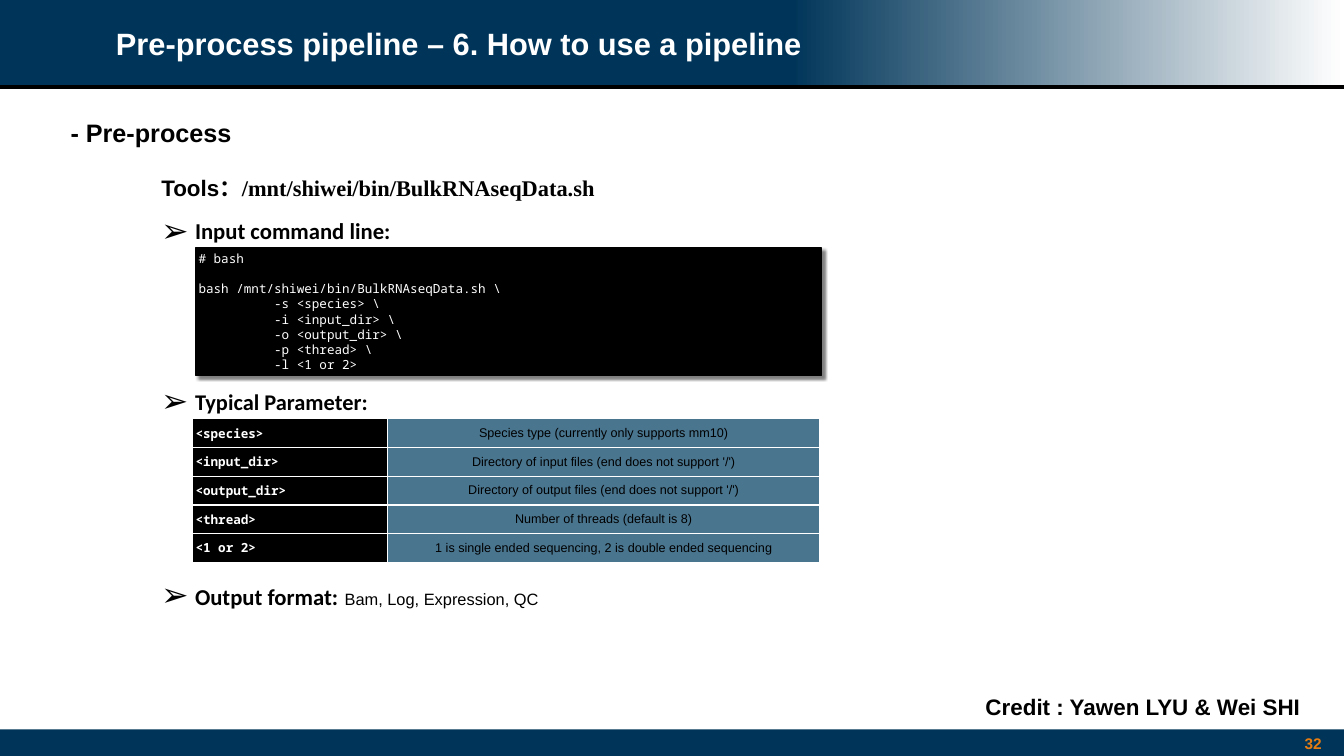
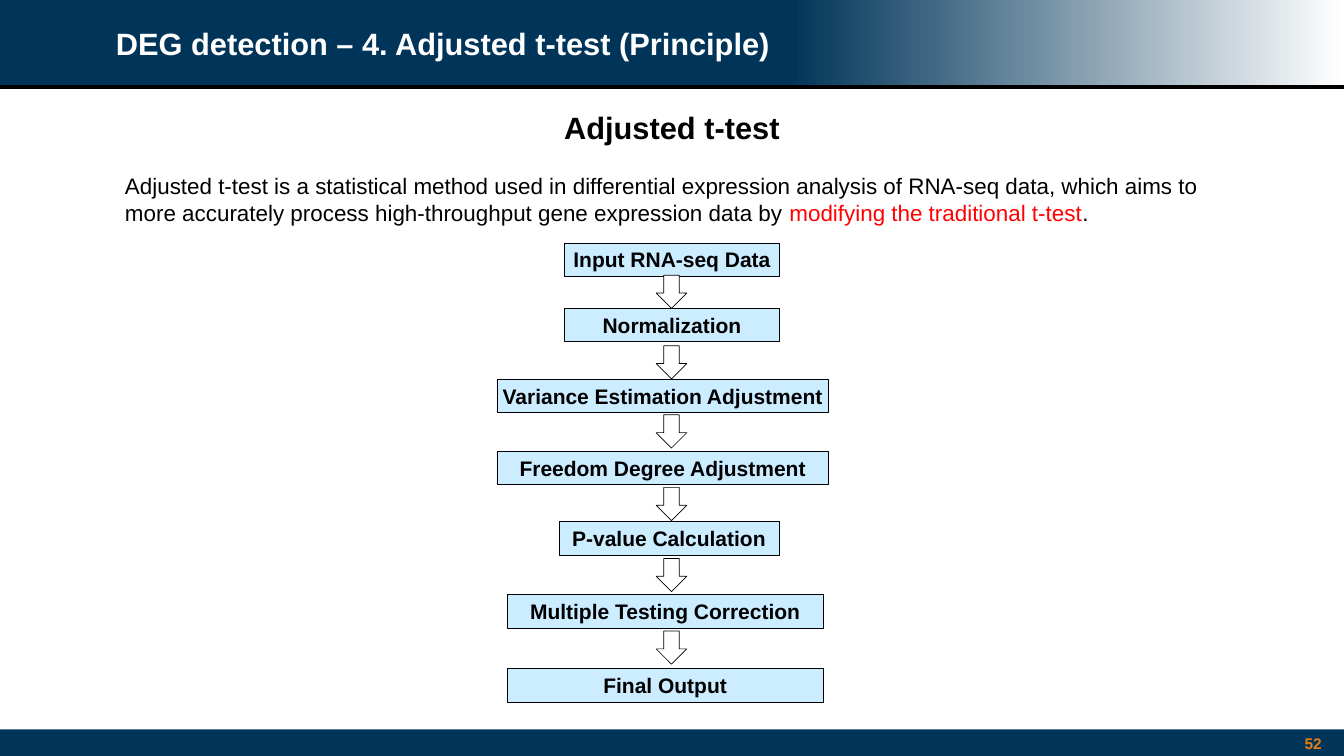
from lxml import etree
from pptx import Presentation
from pptx.dml.color import RGBColor
from pptx.enum.shapes import MSO_CONNECTOR as Connector, MSO_SHAPE as Shape
from pptx.enum.text import MSO_ANCHOR as Anchor, PP_ALIGN as Align
from pptx.oxml import parse_xml
from pptx.oxml.ns import qn
from pptx.util import Inches, Pt

NAVY = RGBColor(0x00, 0x35, 0x59)
STEEL = RGBColor(0x49, 0x75, 0x8F)
PALE_BLUE = RGBColor(0xCC, 0xEC, 0xFF)
ORANGE = RGBColor(0xE6, 0x7D, 0x13)
RED = RGBColor(0xFF, 0x00, 0x00)
WHITE = RGBColor(0xFF, 0xFF, 0xFF)
BLACK = RGBColor(0x00, 0x00, 0x00)
DRAWING = 'xmlns:a="http://schemas.openxmlformats.org/drawingml/2006/main"'
MONO = "Noto Sans Mono"


def add_block(page, kind, place, fill, line=None, width=1):
    block = page.shapes.add_shape(kind, *map(Inches, place))
    block.shadow.inherit = False
    block.fill.solid()
    block.fill.fore_color.rgb = fill
    if line is None:
        block.line.fill.background()
    else:
        block.line.color.rgb = line
        block.line.width = Pt(width)
    return block


def write(holder, spans, size, align=Align.LEFT, anchor=Anchor.MIDDLE,
          inset=0.08, wrap=True, **font):
    """Fill the first paragraph; each span is (text, font changes)."""
    frame = holder.text_frame
    frame.word_wrap = wrap
    frame.vertical_anchor = anchor
    for side in ("left", "right", "top", "bottom"):
        setattr(frame, f"margin_{side}", Inches(inset))
    para = frame.paragraphs[0]
    para.alignment = align
    for text, changes in spans:
        span = para.add_run()
        span.text = text
        style = {"name": "Arial", "size": Pt(size), "bold": True, "color": BLACK}
        style.update(font)
        style.update(changes)
        span.font.color.rgb = style.pop("color")
        for key, value in style.items():
            setattr(span.font, key, value)
    return para


deck = Presentation()
deck.slide_width, deck.slide_height = Inches(26.67), Inches(15)

# Shared header, title, footer and page number
pages = []
for title, number in (
    ("Pre-process pipeline – 6. How to use a pipeline", "32"),
    ("DEG detection – 4. Adjusted t-test (Principle)", "52"),
):
    page = deck.slides.add_slide(deck.slide_layouts[6])
    pages.append(page)
    fade = add_block(page, Shape.RECTANGLE, (15.67, 0, 11, 1.72), NAVY)
    fade.fill.gradient()
    fade.fill.gradient_angle = 180
    for stop, color in zip(fade.fill.gradient_stops, (WHITE, NAVY)):
        stop.color.rgb = color
    add_block(page, Shape.RECTANGLE, (0, 0, 15.8, 1.72), NAVY)
    rule = page.shapes.add_connector(
        Connector.STRAIGHT, 0, Inches(1.73), deck.slide_width, Inches(1.73))
    rule.line.color.rgb = BLACK
    rule.line.width = Pt(5)
    etree.SubElement(rule._element.spPr, qn("a:effectLst"))
    add_block(page, Shape.RECTANGLE, (0, 14.47, 26.67, 0.55), NAVY)
    box = page.shapes.add_textbox(*map(Inches, (2.22, 0, 22.22, 1.72)))
    write(box, [(title, {})], 44, color=WHITE)
    box = page.shapes.add_textbox(*map(Inches, (25.66, 14.49, 0.8, 0.52)))
    write(box, [(number, {})], 22, Align.CENTER, Anchor.TOP, color=ORANGE)

usage, principle = pages

# Usage: heading, tool path and credit
box = usage.shapes.add_textbox(*map(Inches, (1.32, 2.24, 6.75, 0.76)))
write(box, [("- Pre-process", {})], 36, anchor=Anchor.TOP)
box = usage.shapes.add_textbox(*map(Inches, (3.12, 3.37, 14.58, 0.69)))
write(box, [("Tools：", {}),
            ("/mnt/shiwei/bin/BulkRNAseqData.sh", {"name": "Times New Roman"})], 32)
box = usage.shapes.add_textbox(*map(Inches, (19.12, 13.71, 7.12, 0.64)))
write(box, [("Credit : Yawen LYU & Wei SHI", {})], 32, Align.CENTER, Anchor.TOP, 0.05)

# Usage: arrow-bulleted section heads
for middle, size, spans in (
    (4.58, 32.4, [("Input command line:", {})]),
    (7.96, 32, [("Typical Parameter:", {})]),
    (11.8, 32.4, [("Output format:", {}),
                  (" ", {"size": Pt(39.6)}),
                  ("Bam, Log, Expression, QC",
                   {"name": "Arial", "size": Pt(23.4), "bold": False})]),
):
    box = usage.shapes.add_textbox(*map(Inches, (3.12, middle - 0.4, 19.33, 0.8)))
    para = write(box, spans, size, name="Calibri")
    props = para._p.get_or_add_pPr()
    props.set("marL", str(Inches(0.67)))
    props.set("indent", str(-Inches(0.67)))
    etree.SubElement(props, qn("a:buSzPct"), val="145000")
    etree.SubElement(props, qn("a:buFont"), typeface="Arial")
    etree.SubElement(props, qn("a:buChar"), char="➢")

# Usage: command panel with a soft shadow
panel = add_block(usage, Shape.RECTANGLE, (3.88, 4.92, 12.42, 2.53), BLACK, BLACK, 2)
effects = panel._element.spPr.find(qn("a:effectLst"))
effects.append(parse_xml(
    f'<a:outerShdw {DRAWING} blurRad="{Pt(4)}" dist="{Pt(5)}" dir="2700000" '
    'algn="tl" rotWithShape="0"><a:srgbClr val="000000">'
    '<a:alpha val="50000"/></a:srgbClr></a:outerShdw>'))
write(panel, [("# bash", {})], 18, anchor=Anchor.TOP, inset=0.06,
      name=MONO, bold=False, color=WHITE)
command = ["bash /mnt/shiwei/bin/BulkRNAseqData.sh \\",
           "          -s <species> \\",
           "          -i <input_dir> \\",
           "          -o <output_dir> \\",
           "          -p <thread> \\",
           "          -l <1 or 2>"]
for index, code in enumerate(command):
    para = panel.text_frame.add_paragraph()
    para.alignment = Align.LEFT
    para.space_before = Pt(0 if index else 21.6)
    span = para.add_run()
    span.text = code
    span.font.name, span.font.size = MONO, Pt(18)
    span.font.color.rgb = WHITE

# Usage: parameter table
parameters = [
    ("<species>", "Species type (currently only supports mm10)"),
    ("<input_dir>", "Directory of input files (end does not support '/')"),
    ("<output_dir>", "Directory of output files (end does not support '/')"),
    ("<thread>", "Number of threads (default is 8)"),
    ("<1 or 2>", "1 is single ended sequencing, 2 is double ended sequencing"),
]
columns = [
    (3.87, BLACK, {"name": MONO, "color": WHITE, "align": Align.LEFT}),
    (8.58, STEEL, {"bold": False, "align": Align.CENTER}),
]
table = usage.shapes.add_table(
    len(parameters), 2, *map(Inches, (3.82, 8.31, 12.45, 2.85))).table
table.first_row = table.horz_banding = False
for column, (width, fill, style) in enumerate(columns):
    table.columns[column].width = Inches(width)
    for row, texts in enumerate(parameters):
        cell = table.cell(row, column)
        write(cell, [(texts[column], {})], 18, inset=0.06, wrap=None, **style)
        cell.vertical_anchor = Anchor.MIDDLE
        for side in ("left", "right", "top", "bottom"):
            setattr(cell, f"margin_{side}", Inches(0.06))
        for edge in "LRTB":
            cell._tc.get_or_add_tcPr().append(parse_xml(
                f'<a:ln{edge} {DRAWING} w="{Pt(2)}"><a:solidFill>'
                f'<a:srgbClr val="{WHITE}"/></a:solidFill></a:ln{edge}>'))
        cell.fill.solid()
        cell.fill.fore_color.rgb = fill

# Principle: heading and definition
box = principle.shapes.add_textbox(*map(Inches, (8.89, 2.08, 8.89, 0.9)))
write(box, [("Adjusted t-test", {})], 44, Align.CENTER)
box = principle.shapes.add_textbox(*map(Inches, (2.4, 3.34, 21.51, 1.23)))
write(box, [
    ("Adjusted t-test is a statistical method used in differential expression "
     "analysis of RNA-seq data, which aims to more accurately process "
     "high-throughput gene expression data by ", {}),
    ("modifying the traditional t-test", {"color": RED}),
    (".", {}),
], 32, bold=False)

# Principle: workflow steps as (label, left, top, width)
steps = [
    ("Input RNA-seq Data", 11.2, 4.82, 4.27),
    ("Normalization", 11.2, 6.12, 4.27),
    ("Variance Estimation Adjustment", 9.86, 7.52, 6.58),
    ("Freedom Degree Adjustment", 9.86, 8.95, 6.58),
    ("P-value Calculation", 11.09, 10.35, 4.37),
    ("Multiple Testing Correction", 10.07, 11.8, 6.26),
    ("Final Output", 10.07, 13.27, 6.26),
]
for label, left, top, width in steps:
    step = add_block(principle, Shape.RECTANGLE, (left, top, width, 0.66),
                     PALE_BLUE, BLACK)
    write(step, [(label, {})], 30, Align.CENTER)

# Principle: arrows between the steps
for top in (5.46, 6.86, 8.23, 9.67, 11.08, 12.52):
    add_block(principle, Shape.DOWN_ARROW, (13.02, top, 0.61, 0.66), WHITE, BLACK)

deck.save("out.pptx")
